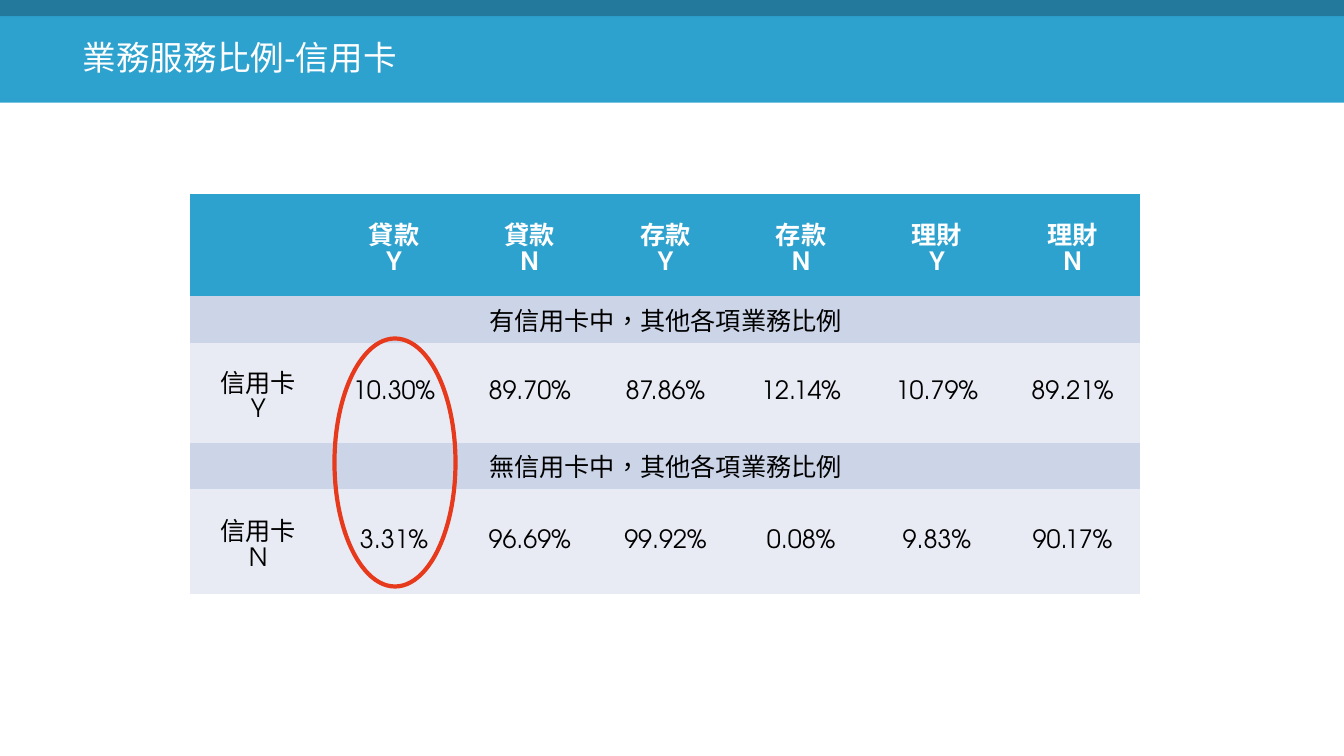
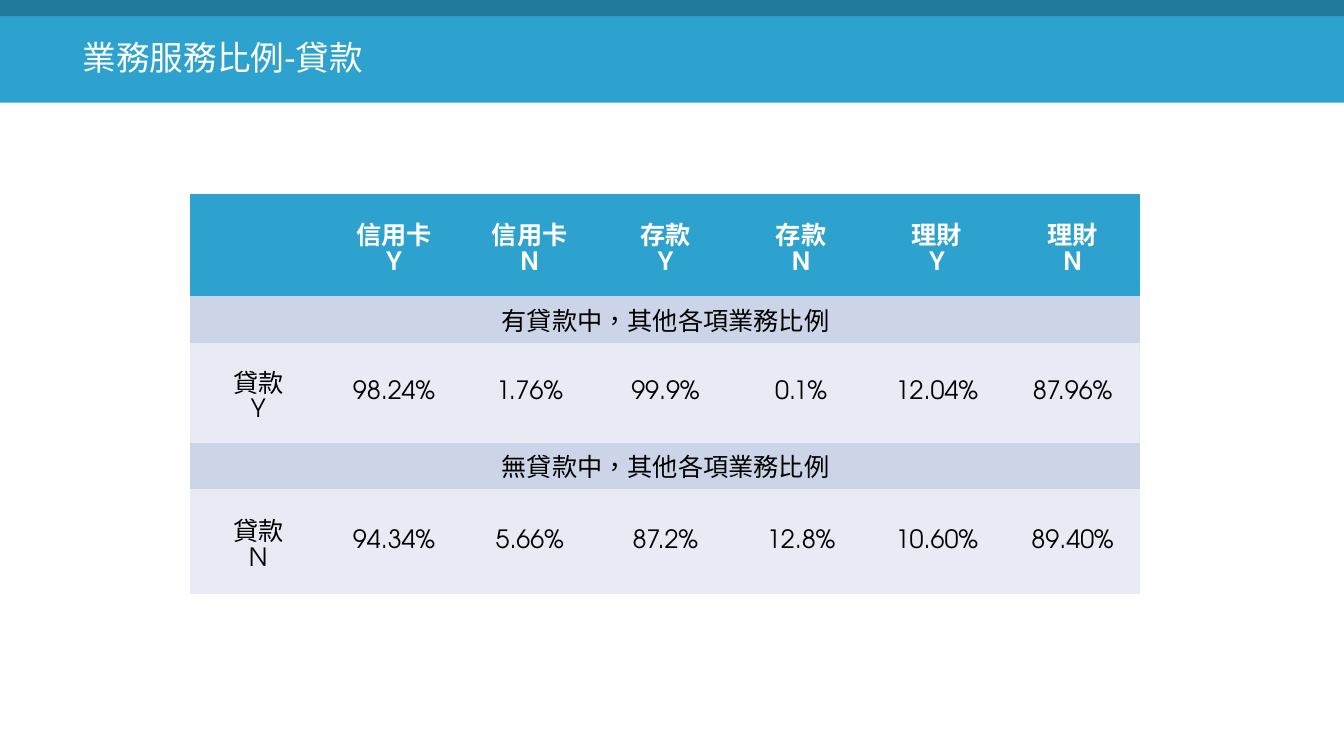
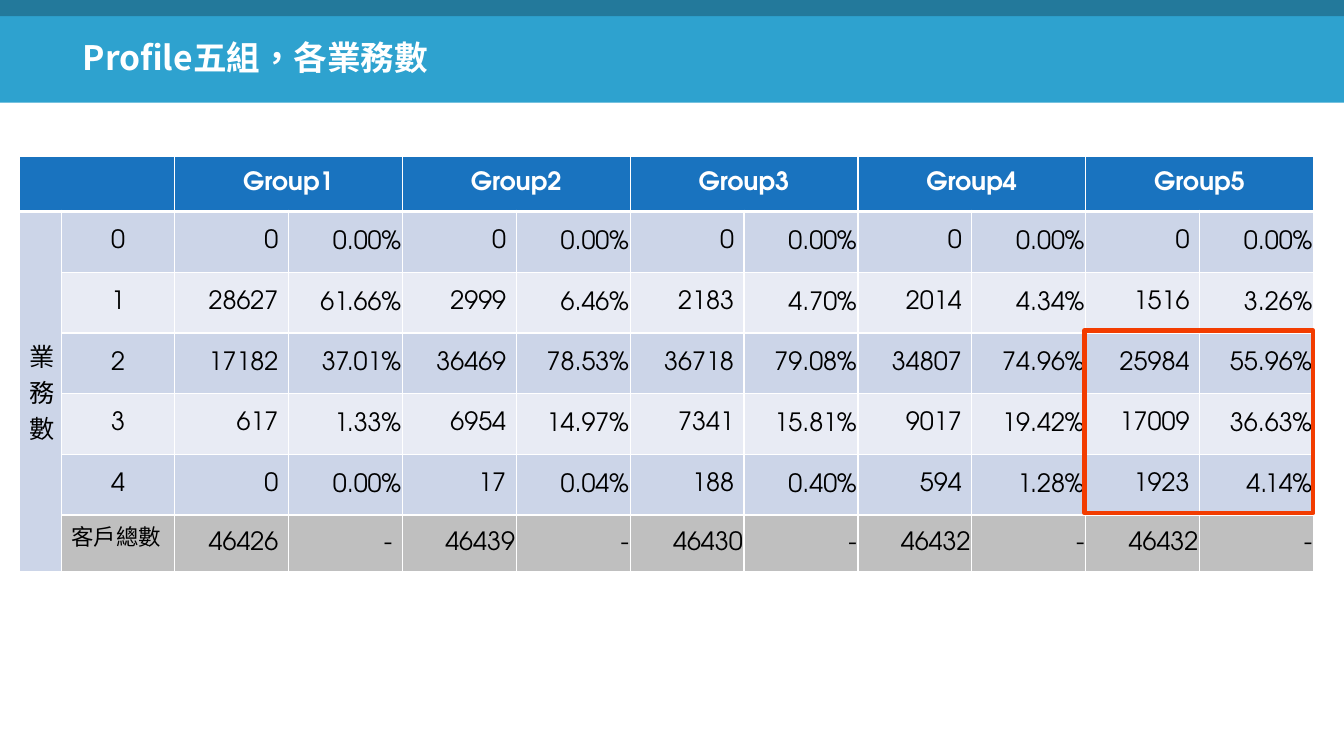
from lxml import etree
from pptx import Presentation
from pptx import util as u
from pptx.dml.color import RGBColor
from pptx.enum import lang, shapes, text
from pptx.oxml.ns import qn

COLORS = {
    "band": "2EA2CF",
    "band_dark": "23799B",
    "group_header": "1973BF",
    "row_dark": "CCD5E8",
    "row_light": "E8EBF4",
    "row_total": "BFBFBF",
    "white": "FFFFFF",
    "black": "000000",
    "ellipse": "E73A1C",
    "frame": "F23C00",
}
CJK_FONT = "Noto Sans CJK SC"
TABLE_FONT = "TeX Gyre Adventor"
NO_STYLE = "{2D5ABB26-0587-4C30-8999-92F81FD0307C}"
LEFT, CENTER, RIGHT = text.PP_ALIGN.LEFT, text.PP_ALIGN.CENTER, text.PP_ALIGN.RIGHT


def write_text(text_frame, content, font_name, size, color, bold=False, alignment=LEFT):
    text_frame.text = content
    for paragraph in text_frame.paragraphs:
        paragraph.alignment = alignment
        for run in paragraph.runs:
            font = run.font
            font.name, font.size, font.bold = font_name, u.Pt(size), bold
            font.color.rgb = RGBColor.from_string(COLORS[color])
            font.language_id = lang.MSO_LANGUAGE_ID.TRADITIONAL_CHINESE
            east_asian = etree.Element(qn("a:ea"), typeface=CJK_FONT)
            run._r.rPr.find(qn("a:latin")).addnext(east_asian)


def add_table(slide, rows, left, top, widths, heights, fills):
    """Add a borderless table with a bold white first row; lengths are in cm."""
    frame = slide.shapes.add_table(
        len(rows), len(widths), u.Cm(left), u.Cm(top),
        u.Cm(sum(widths)), u.Cm(sum(heights)))
    table = frame.table
    table.horz_banding = False
    table._tbl.tblPr.find(qn("a:tableStyleId")).text = NO_STYLE
    for column, width in zip(table.columns, widths):
        column.width = u.Cm(width)
    for r, (row, height, fill) in enumerate(zip(rows, heights, fills)):
        table.rows[r].height = u.Cm(height)
        for c in range(len(widths)):
            cell = table.cell(r, c)
            cell.fill.solid()
            cell.fill.fore_color.rgb = RGBColor.from_string(COLORS[fill])
            cell.vertical_anchor = text.MSO_ANCHOR.MIDDLE
            content = row[c] if c < len(row) else ""
            write_text(cell.text_frame, content, TABLE_FONT, 18,
                       "black" if r else "white", r == 0, CENTER)
    return table


presentation = Presentation()
presentation.slide_width, presentation.slide_height = u.Cm(33.87), u.Cm(19.05)
layout = presentation.slide_layouts[5]

# Shared title area
layout_title = layout.placeholders[0]
layout_title.left, layout_title.top = u.Cm(1.83), u.Cm(0.71)
layout_title.width, layout_title.height = u.Cm(14.73), u.Cm(1.47)

slides = []
for title, bold in [("業務服務比例-信用卡", False), ("業務服務比例-貸款", False),
                    ("Profile五組，各業務數", True)]:
    slide = presentation.slides.add_slide(layout)
    title_frame = slide.shapes.title.text_frame
    title_frame.auto_size = text.MSO_AUTO_SIZE.NONE
    title_frame.vertical_anchor = text.MSO_ANCHOR.MIDDLE
    write_text(title_frame, title, CJK_FONT, 24, "white", bold)
    slides.append(slide)

# Shared bands, drawn once and moved behind the layout's placeholders
for position, (color, height) in enumerate([("band", 2.59), ("band_dark", 0.41)], 2):
    band = slides[0].shapes.add_shape(
        shapes.MSO_SHAPE.RECTANGLE, 0, 0, presentation.slide_width, u.Cm(height))
    band.shadow.inherit = False
    band.fill.solid()
    band.fill.fore_color.rgb = RGBColor.from_string(COLORS[color])
    band.line.fill.background()
    layout.shapes._spTree.insert(position, band._element)

# Service ratios: one table per service
ratios = [
    ("信用卡", ["貸款", "存款", "理財"],
     ["10.30%", "89.70%", "87.86%", "12.14%", "10.79%", "89.21%"],
     ["3.31%", "96.69%", "99.92%", "0.08%", "9.83%", "90.17%"]),
    ("貸款", ["信用卡", "存款", "理財"],
     ["98.24%", "1.76%", "99.9%", "0.1%", "12.04%", "87.96%"],
     ["94.34%", "5.66%", "87.2%", "12.8%", "10.60%", "89.40%"]),
]
for slide, (service, others, with_service, without_service) in zip(slides, ratios):
    rows = [
        [""] + [f"{other}\n{answer}" for other in others for answer in "YN"],
        [f"有{service}中，其他各項業務比例"],
        [f"{service}\nY"] + with_service,
        [f"無{service}中，其他各項業務比例"],
        [f"{service}\nN"] + without_service,
    ]
    table = add_table(slide, rows, 4.8, 4.88, [3.42] * 7,
                      [2.59, 1.17, 2.51, 1.17, 2.64],
                      ["band"] + ["row_dark", "row_light"] * 2)
    for r in (1, 3):
        table.cell(r, 0).merge(table.cell(r, 6))

# Customers per group, by number of services used
totals = [46426, 46439, 46430, 46432, 46432]
counts = [
    [0, 0, 0, 0, 0],
    [28627, 2999, 2183, 2014, 1516],
    [17182, 36469, 36718, 34807, 25984],
    [617, 6954, 7341, 9017, 17009],
    [0, 17, 188, 594, 1923],
]
rows = [["", ""]]
for group in range(1, 6):
    rows[0] += [f"Group{group}", ""]
for services, row_counts in enumerate(counts):
    row = ["業\n務\n數" if services == 0 else "", str(services)]
    for count, total in zip(row_counts, totals):
        row += [str(count), f"{count / total:.2%}"]
    rows.append(row)
rows.append(["", "客戶總數"])
for total in totals:
    rows[-1] += [str(total), "-"]

last_row = len(rows) - 1
fills = ["group_header"] + ["row_dark", "row_light"] * 2 + ["row_dark", "row_total"]
table = add_table(slides[2], rows, 0.48, 3.94, [1.07, 2.85] + [2.87] * 10,
                  [1.39] + [1.53] * 5 + [1.42], fills)
for r in range(len(rows)):
    for c in range(12):
        cell = table.cell(r, c)
        if r > 0 and c > 1:
            cell.text_frame.paragraphs[0].alignment = RIGHT
            if (c > 3 if r == last_row else c % 2 == 1):
                cell.margin_left = cell.margin_top = cell.margin_right = u.Cm(0.03)
                cell.margin_bottom = 0
        properties = cell._tc.get_or_add_tcPr()
        for position, side in enumerate(["lnL", "lnR", "lnT", "lnB"]):
            thick = (r, side) in [(0, "lnB"), (1, "lnT")]
            border = etree.Element(qn(f"a:{side}"), w=str(u.Pt(3 if thick else 1)))
            border_fill = etree.SubElement(border, qn("a:solidFill"))
            etree.SubElement(border_fill, qn("a:srgbClr"), val=COLORS["white"])
            properties.insert(position, border)

service_label = table.cell(1, 0)
service_label.fill.fore_color.rgb = RGBColor.from_string(COLORS["row_dark"])
for paragraph in service_label.text_frame.paragraphs:
    paragraph.alignment = LEFT
total_label = table.cell(last_row, 1)
total_label.vertical_anchor = text.MSO_ANCHOR.TOP
write_text(total_label.text_frame, "客戶總數", TABLE_FONT, 16, "black")

for c in range(0, 12, 2):
    table.cell(0, c).merge(table.cell(0, c + 1))
service_label.merge(table.cell(last_row, 0))

# Outlines around the notable figures
for slide, preset, color, box in [
    (slides[0], shapes.MSO_SHAPE.OVAL, "ellipse", (8.43, 8.53, 3.05, 6.25)),
    (slides[2], shapes.MSO_SHAPE.RECTANGLE, "frame", (27.33, 8.33, 5.77, 4.6)),
]:
    outline = slide.shapes.add_shape(preset, *[u.Cm(length) for length in box])
    outline.shadow.inherit = False
    outline.fill.background()
    outline.line.color.rgb = RGBColor.from_string(COLORS[color])
    outline.line.width = u.Pt(3)

presentation.save("out.pptx")
